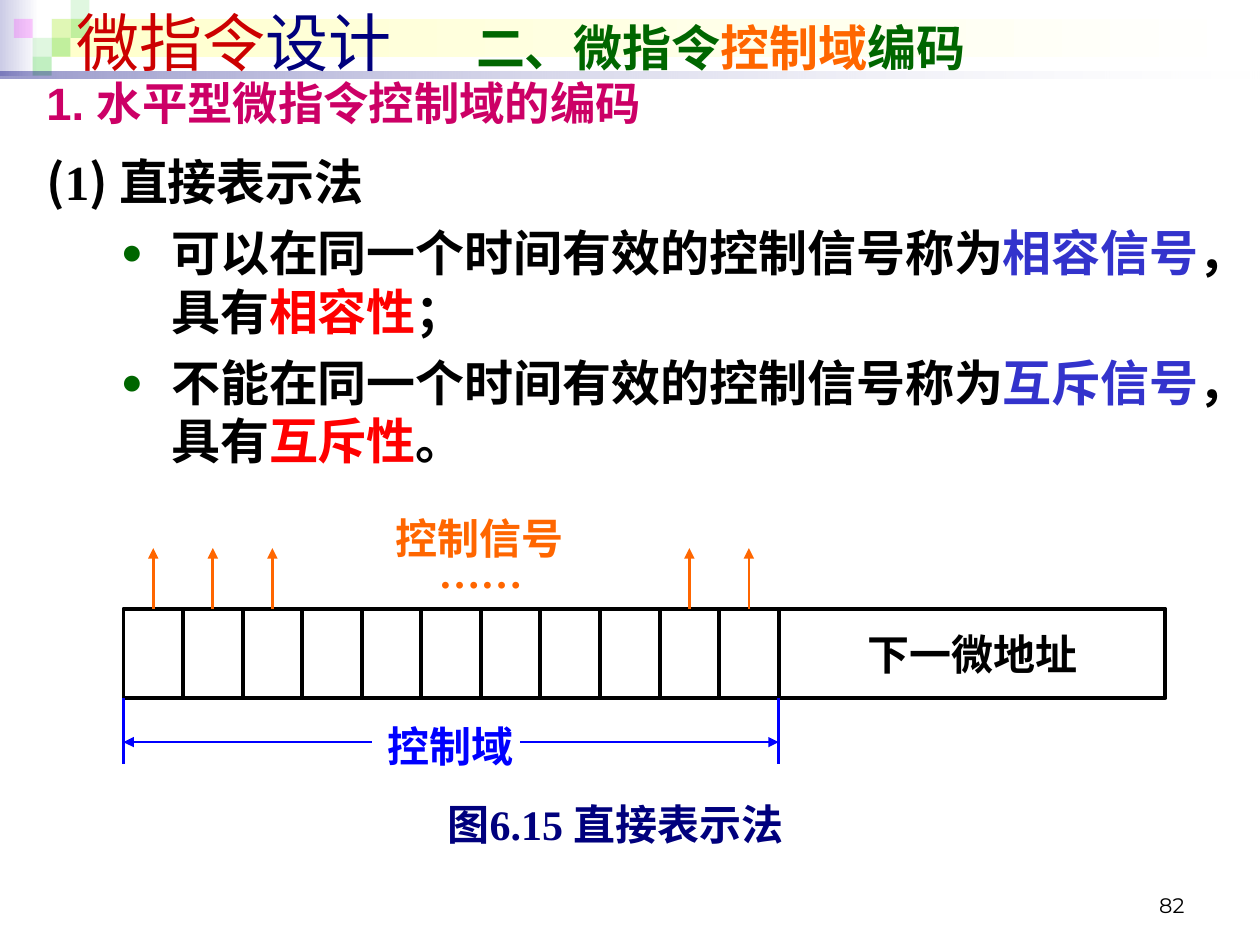
from dataclasses import dataclass

from lxml.etree import SubElement as Sub
from pptx import Presentation
from pptx.dml.color import RGBColor as Rgb
from pptx.enum.shapes import MSO_CONNECTOR as Conn, MSO_SHAPE as Kind
from pptx.enum.text import MSO_ANCHOR as Anchor, PP_ALIGN as Align
from pptx.oxml.ns import qn
from pptx.util import Inches, Pt


@dataclass(frozen=True)
class Theme:
    """Colours, fonts and type sizes of the slide."""
    black: str = "000000"
    white: str = "FFFFFF"
    navy: str = "00007D"
    dark: str = "CC0000"
    red: str = "FF0000"
    green: str = "006600"
    orange: str = "FF6600"
    pink: str = "CC0066"
    blue: str = "0000FF"
    violet: str = "3333CC"
    lilac: str = "CCCCE6"
    cream: str = "FFFFCC"
    leaf: str = "33CC33"
    rose: str = "FF00FF"
    sans: str = "Arial"
    serif: str = "Times New Roman"
    han: str = "Noto Sans CJK SC"
    num: str = "Montserrat"
    title: float = 36
    body: float = 28
    head: float = 25.9
    label: float = 24
    foot: float = 12


T = Theme()
COLS, ROWS = 100, 75
UNIT = Inches(10) / COLS


def grid(*nums):
    """Turn grid units into lengths."""
    return [round(n * UNIT) for n in nums]


def text(frame, runs, size=T.label, color=T.black, font=T.serif, bold=True,
         align=Align.LEFT, before=0, line=None, hang=None, bullet=None, tab=None):
    """Add one paragraph of (words, changes) runs to a frame."""
    para = frame.paragraphs[0]
    if para.runs:
        para = frame.add_paragraph()
    para.alignment, para.space_before = align, Pt(before)
    if line:
        para.line_spacing = line
    props = para._p.get_or_add_pPr()
    if hang:
        left, first = grid(*hang)
        props.set("marL", str(left))
        props.set("indent", str(first))
    if bullet:
        para.level = 1
        Sub(Sub(props, qn("a:buClr")), qn("a:srgbClr"), val=bullet)
        Sub(props, qn("a:buSzPct"), val="75000")
        Sub(props, qn("a:buFont"), typeface=T.sans)
        Sub(props, qn("a:buChar"), char="●")
    if tab:
        Sub(Sub(props, qn("a:tabLst")), qn("a:tab"), pos=str(grid(tab)[0]), algn="l")
    for words, diff in [(runs, {})] if isinstance(runs, str) else runs:
        look = dict(size=size, color=color, font=font, bold=bold) | diff
        run = para.add_run()
        run.text = words
        run.font.size, run.font.bold = Pt(look["size"]), look["bold"]
        run.font.name = look["font"]
        run.font.color.rgb = Rgb.from_string(look["color"])
        Sub(run._r.get_or_add_rPr(), qn("a:ea"), typeface=T.han)


def setup(frame, anchor, pad):
    """Set wrapping, anchor and margins of a frame."""
    frame.word_wrap, frame.vertical_anchor = True, anchor
    frame.margin_left, frame.margin_right = grid(pad, pad)
    frame.margin_top, frame.margin_bottom = grid(pad / 2, pad / 2)
    return frame


def frame(slide, box, anchor=Anchor.TOP, pad=1):
    """Add an empty text box and return its frame."""
    return setup(slide.shapes.add_textbox(*grid(*box)).text_frame, anchor, pad)


def rect(slide, box, tints=(), line=None):
    """Add a rectangle filled with (colour, opacity) tints."""
    shape = slide.shapes.add_shape(Kind.RECTANGLE, *grid(*box))
    shape.shadow.inherit = False
    if len(tints) == 2:
        shape.fill.gradient()
        shape.fill.gradient_angle = 180
        inks = [stop.color for stop in shape.fill.gradient_stops]
    elif tints:
        shape.fill.solid()
        inks = [shape.fill.fore_color]
    else:
        shape.fill.background()
        inks = []
    for ink, (color, _) in zip(inks, tints):
        ink.rgb = Rgb.from_string(color)
    for node, (_, alpha) in zip(shape._element.spPr.iter(qn("a:srgbClr")), tints):
        Sub(node, qn("a:alpha"), val=str(alpha * 1000))
    if line:
        shape.line.color.rgb, shape.line.width = Rgb.from_string(line), Pt(2.25)
    else:
        shape.line.fill.background()
    return shape


def link(slide, start, end, color, arrow=True):
    """Draw a straight line, with an arrowhead at its end if asked."""
    wire = slide.shapes.add_connector(Conn.STRAIGHT, *grid(*start, *end))
    wire.line.color.rgb, wire.line.width = Rgb.from_string(color), Pt(1.5)
    if arrow:
        Sub(wire.line._get_or_add_ln(), qn("a:tailEnd"), type="triangle")
    Sub(wire._element.spPr, qn("a:effectLst"))
    return wire


def banner(slide, box):
    """Draw the top band with its squares and rule."""
    x, y, w, h = box
    side = h / 4
    rect(slide, (x, y, 3.1, h), [(T.white, 100), (T.lilac, 100)])
    rect(slide, (x + 4.1, y + side, w - 4.5, 2 * side), [(T.white, 100), (T.cream, 100)])
    tiles = [(2, 1, T.leaf, 15), (3, 0, T.leaf, 15), (3, 1, T.leaf, 30), (1, 2, T.leaf, 15),
             (0, 1, T.rose, 20), (2, 2, T.leaf, 30), (1, 3, T.leaf, 30)]
    for col, row, color, alpha in tiles:
        rect(slide, (x + 1.1 + col * side, y + row * side, side, side), [(color, alpha)])
    rect(slide, (x, y + h - 0.3, w, 0.5), [(T.white, 10), (T.navy, 40)])


def title(slide, box):
    """Write the slide title."""
    part = dict(size=T.body, bold=True)
    text(frame(slide, box, Anchor.MIDDLE),
         [("微指令", dict(color=T.dark)), ("设计\t", {}),
          ("二、微指令", part | dict(color=T.green)), ("控制域", part | dict(color=T.orange)),
          ("编码", part | dict(color=T.green))],
         size=T.title, color=T.navy, font=T.sans, bold=False, tab=31.7)


def body(slide, box):
    """Write the heading, the method and its two bullets."""
    x, y, w, h = box
    text(frame(slide, (x, y, w, 5.5)), "1. 水平型微指令控制域的编码", size=T.head,
         color=T.pink, font=T.sans, line=0.9, hang=(3.8, -3.8))
    main = frame(slide, (x, y + 5.5, w, h - 5.5))
    han = dict(font=T.han)
    text(main, [("(", han), ("1", {}), (") ", han), ("直接表示法", {})],
         size=T.body, hang=(3.9, -3.9))
    for start, kind, end in (("可以", "相容", "；"), ("不能", "互斥", "。")):
        text(main, [(start + "在同一个时间有效的控制信号称为", {}),
                    (kind + "信号", dict(color=T.violet)), ("，具有", {}),
                    (kind + "性", dict(color=T.red)), (end, {})],
             size=T.body, before=7, hang=(9.9, -4), bullet=T.green)


def figure(slide, box):
    """Draw the instruction word with its signals, field ruler and caption."""
    x, y, w, h = box
    count, step, top, tall = 11, 52 / 11, y + 8.4, 7.1
    base, edge = top + tall, x + 52
    cells = [rect(slide, (x + i * step, top, step, tall), line=T.black) for i in range(count)]
    tail = rect(slide, (edge, top, w - 52, tall), line=T.black)
    text(setup(tail.text_frame, Anchor.MIDDLE, 0.8), "下一微地址", align=Align.CENTER)
    for i in (0, 1, 2, 9, 10):
        mid = x + (i + 0.5) * step
        link(slide, (mid, top), (mid, top - 4.8), T.orange).begin_connect(cells[i], 0)
    for side in (x, edge):
        link(slide, (side, base), (side, base + 5.2), T.blue, arrow=False)
    for start, end in ((x + 19.7, x), (x + 31.5, edge)):
        link(slide, (start, base + 3.5), (end, base + 3.5), T.blue)
    labels = [("……", 22.2, 1.9, 12.3, 7.1, T.orange), ("控制信号", 18.9, 0, 18.7, 5.5, T.orange),
              ("控制域", 16.6, 16.5, 18.7, 5.5, T.blue)]
    for words, dx, dy, wide, high, color in labels:
        text(frame(slide, (x + dx, y + dy, wide, high), Anchor.MIDDLE, 0.8), words,
             color=color, align=Align.CENTER)
    text(frame(slide, (x + 22.9, y + h - 4, 32.3, 4), pad=0), "图6.15 直接表示法",
         color=T.navy, align=Align.CENTER)


def number(slide, box):
    """Write the slide number."""
    text(frame(slide, box, Anchor.BOTTOM), "82", size=T.foot, font=T.num, bold=False,
         align=Align.RIGHT)


def main():
    """Build and save the slide."""
    deck = Presentation()
    deck.slide_width, deck.slide_height = grid(COLS, ROWS)
    slide = deck.slides.add_slide(deck.slide_layouts[6])
    banner(slide, (0, 0, COLS, 6))
    title(slide, (5.1, -0.3, 93.7, 7.1))
    body(slide, (2.7, 6, 96.1, 65.3))
    figure(slide, (9.8, 39.9, 82.7, 27.5))
    number(slide, (71.7, 68.3, 23.3, 5))
    deck.save("out.pptx")


if __name__ == "__main__":
    main()
